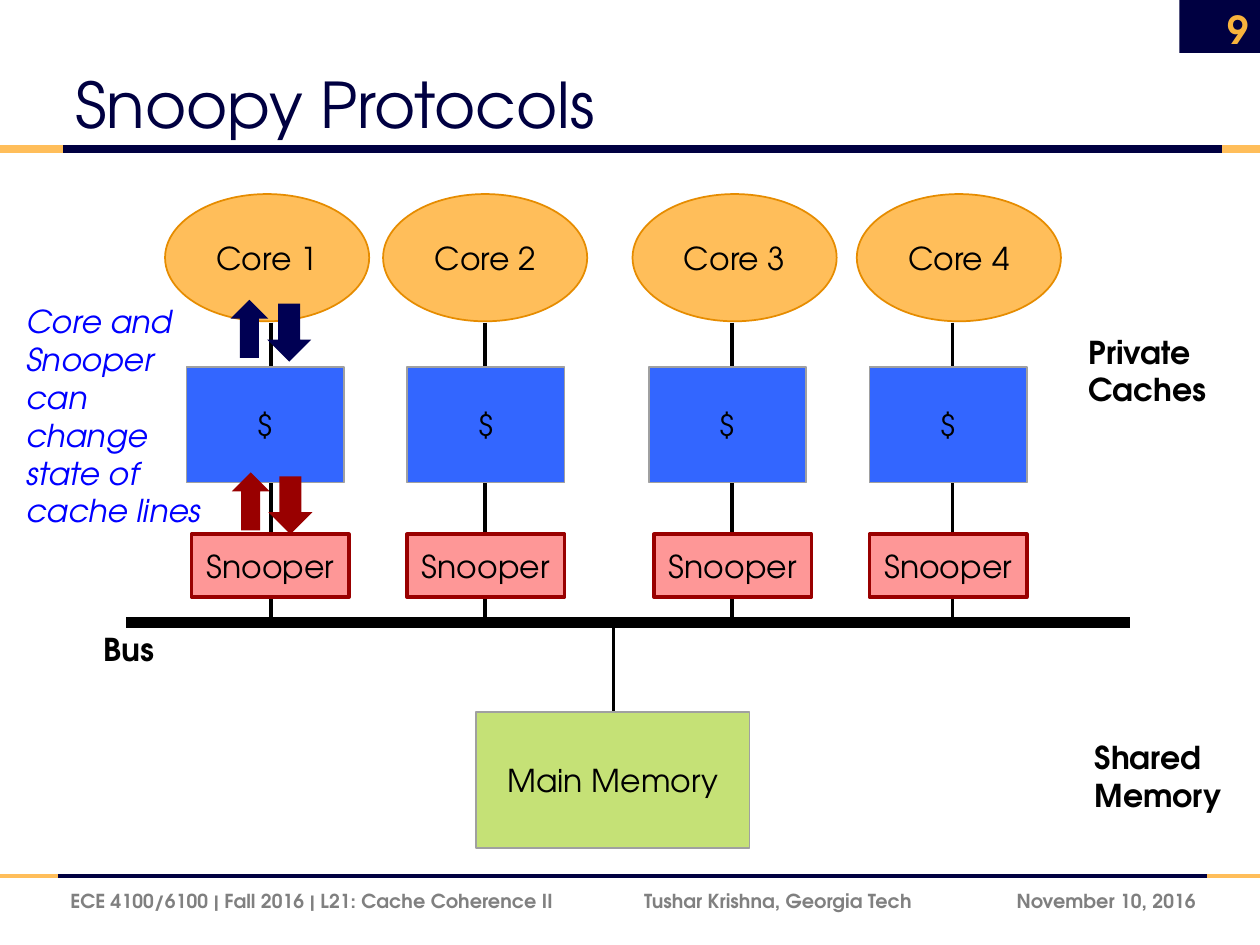
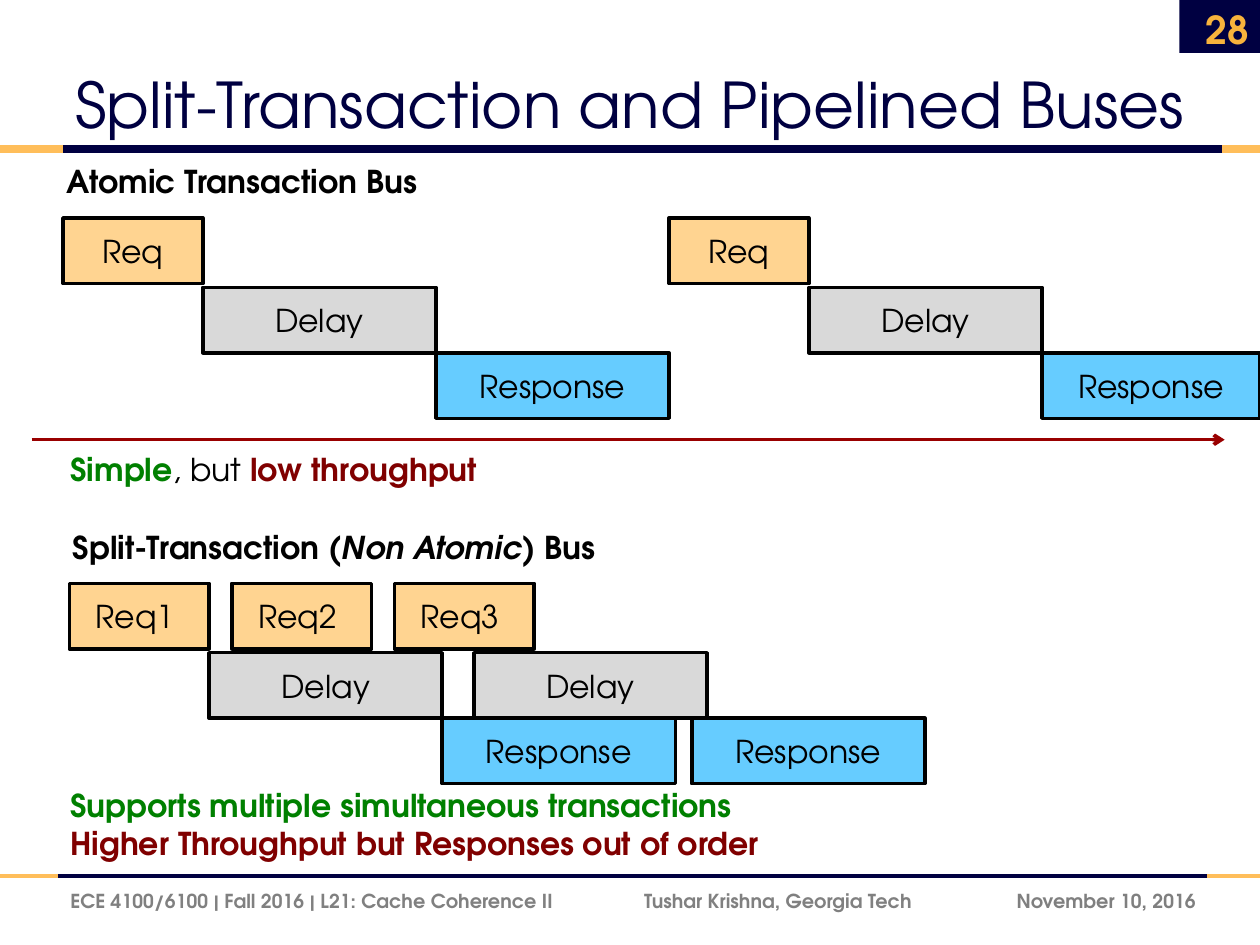
from dataclasses import dataclass
from typing import Any, Optional

import lxml.etree
import pptx
import pptx.dml.color
import pptx.enum.shapes
import pptx.enum.text
import pptx.oxml.ns
import pptx.util

SHAPE = pptx.enum.shapes.MSO_SHAPE
ALIGN = pptx.enum.text.PP_ALIGN
ANCHOR = pptx.enum.text.MSO_ANCHOR

FONT = "TeX Gyre Adventor"
COLORS = {
    "navy": "000041", "orange": "FFBE5A", "number": "F8B33C",
    "footer": "808080", "date": "7F7F7F", "black": "000000",
    "core edge": "E68C00", "cache": "3366FF", "edge": "A0A0A0",
    "memory": "C5E176", "snooper": "FE9797", "red": "990000",
    "core arrow": "000053", "note": "0000FF", "good": "008000",
    "bad": "800000", "request": "FFD491", "delay": "D9D9D9",
    "response": "66CCFF",
}

# The slide is a grid of 100 columns and 75 rows of square cells.
COLUMNS, ROWS = 100, 75
CELL = pptx.util.Inches(10) // COLUMNS


@dataclass
class Area:
    column: float
    row: float
    columns: float
    rows: float

    def lengths(self) -> list[int]:
        return [cells(n) for n in (self.column, self.row, self.columns, self.rows)]


@dataclass
class Span:
    text: str
    color: str = "black"
    bold: bool = False
    italic: bool = False


@dataclass
class Style:
    size: float = 18
    align: Any = ALIGN.LEFT
    anchor: Any = ANCHOR.TOP
    wrap: bool = True
    side_inset: float = 1


@dataclass
class Look:
    fill: str
    edge: Optional[str] = None
    weight: float = 1
    preset: Any = SHAPE.RECTANGLE


@dataclass
class Stage:
    """One step of a bus transaction: its width and its drop below the request."""
    columns: float
    drop: float
    look: Look


@dataclass
class Core:
    """Left edges of the parts of one core, and the column of its wire."""
    core: float
    wire: float
    cache: float
    snooper: float


CENTERED = Style(align=ALIGN.CENTER, anchor=ANCHOR.MIDDLE)
UNWRAPPED = Style(align=ALIGN.CENTER, anchor=ANCHOR.MIDDLE, wrap=False)
IN_ELLIPSE = Style(align=ALIGN.CENTER, anchor=ANCHOR.MIDDLE, side_inset=0)


def cells(count: float) -> int:
    return round(count * CELL)


def color(name: str) -> pptx.dml.color.RGBColor:
    return pptx.dml.color.RGBColor.from_string(COLORS[name])


def set_font(font: Any, span: Span, size: float) -> None:
    font.name = FONT
    font.size = pptx.util.Pt(size)
    font.bold = span.bold
    font.italic = span.italic
    font.color.rgb = color(span.color)


def write(box: Any, paragraphs: list[list[Span]], style: Style) -> None:
    frame = box.text_frame
    frame.word_wrap = style.wrap
    frame.vertical_anchor = style.anchor
    frame.margin_left = frame.margin_right = cells(style.side_inset)
    frame.margin_top = frame.margin_bottom = cells(0.5)
    for index, spans in enumerate(paragraphs):
        para = frame.add_paragraph() if index else frame.paragraphs[0]
        para.alignment = style.align
        if len(spans) == 1:
            set_font(para.font, spans[0], style.size)
        for span in spans:
            run = para.add_run()
            run.text = span.text
            if len(spans) > 1:
                set_font(run.font, span, style.size)


def add_text(page: Any, area: Area, *paragraphs: list[Span],
             style: Style = Style()) -> None:
    write(page.shapes.add_textbox(*area.lengths()), list(paragraphs), style)


def add_box(page: Any, area: Area, look: Look, label: str = "",
            style: Style = CENTERED) -> Any:
    box = page.shapes.add_shape(look.preset, *area.lengths())
    box.shadow.inherit = False
    box.fill.solid()
    box.fill.fore_color.rgb = color(look.fill)
    if look.edge:
        box.line.color.rgb = color(look.edge)
        box.line.width = pptx.util.Pt(look.weight)
    else:
        box.line.fill.background()
    if label:
        write(box, [[Span(label)]], style)
    return box


def add_line(page: Any, start: tuple[float, float], end: tuple[float, float],
             name: str, weight: float, arrow: bool = False) -> None:
    line = page.shapes.add_connector(
        pptx.enum.shapes.MSO_CONNECTOR.STRAIGHT,
        *[cells(n) for n in (*start, *end)])
    line.line.color.rgb = color(name)
    line.line.width = pptx.util.Pt(weight)
    if arrow:
        lxml.etree.SubElement(line.line._get_or_add_ln(),
                              pptx.oxml.ns.qn("a:tailEnd"), type="arrow")
    lxml.etree.SubElement(line._element.spPr, pptx.oxml.ns.qn("a:effectLst"))


def add_rule(page: Any, row: float, left: float, right: float, weight: float) -> None:
    """A navy rule across the slide with orange ends."""
    for start, end, name in ((left, right, "navy"), (0, left, "orange"),
                             (right, COLUMNS, "orange")):
        add_line(page, (start, row), (end, row), name, weight)


def add_page(deck: Any, title: str, number: int) -> Any:
    page = deck.slides.add_slide(deck.slide_layouts[6])
    # Number tab and rules
    add_box(page, Area(93.6, 0, 6.8, 4.2), Look("navy"))
    add_rule(page, 69.5, 4.6, 95.8, 2.25)
    add_rule(page, 11.8, 5, 97, 4.5)
    # Title, footer and page number
    add_text(page, Area(5, 1.7, 95, 10), [Span(title, "navy")],
             style=Style(size=36, anchor=ANCHOR.BOTTOM))
    footer = Style(size=11, anchor=ANCHOR.MIDDLE)
    add_text(page, Area(4.6, 69.5, 45, 4),
             [Span("ECE 4100/6100 | Fall 2016 | L21: Cache Coherence II", "footer", True)],
             style=footer)
    add_text(page, Area(50.15, 69.5, 26, 4),
             [Span("Tushar Krishna, Georgia Tech", "footer", True)], style=footer)
    add_text(page, Area(76.7, 69.5, 19.2, 4), [Span("November 10, 2016", "date", True)],
             style=Style(size=11, align=ALIGN.RIGHT, anchor=ANCHOR.MIDDLE))
    add_text(page, Area(93.4, 0.3, 6.7, 4), [Span(str(number), "number", True)],
             style=Style(size=22, align=ALIGN.RIGHT, anchor=ANCHOR.MIDDLE))
    return page


def add_arrow_pair(page: Any, column: float, row: float, name: str) -> None:
    look = Look(name, preset=SHAPE.UP_ARROW)
    add_box(page, Area(column, row, 3, 4.6), look)
    add_box(page, Area(column + 2.9, row + 0.3, 3.5, 4.6), look).rotation = 180


CORES = [Core(13.1, 21.5, 14.8, 15.2), Core(30.4, 38.5, 32.3, 32.3),
         Core(50.2, 58.1, 51.5, 51.9), Core(68, 75.6, 69, 69)]
BUS_ROW = 49.4


def build_snoopy(deck: Any) -> None:
    page = add_page(deck, "Snoopy Protocols", 9)
    # Cores with their caches and snoopers
    for number, place in enumerate(CORES, 1):
        add_line(page, (place.wire, 25.6), (place.wire, BUS_ROW), "black", 2)
        add_box(page, Area(place.cache, 29.1, 12.5, 9.2), Look("cache", "edge"),
                "$", UNWRAPPED)
        add_box(page, Area(place.core, 15.4, 16.2, 10.1),
                Look("orange", "core edge", preset=SHAPE.OVAL),
                f"Core {number}", IN_ELLIPSE)
        add_box(page, Area(place.snooper, 42.4, 12.5, 5), Look("snooper", "red", 2),
                "Snooper", UNWRAPPED)
    # Bus and memory
    add_line(page, (10, BUS_ROW), (89.7, BUS_ROW), "black", 6)
    add_line(page, (48.7, BUS_ROW), (48.7, 56.4), "black", 2)
    add_box(page, Area(37.8, 56.5, 21.7, 10.8), Look("memory", "edge"),
            "Main Memory", UNWRAPPED)
    # Labels
    for label, area in (("Bus", Area(7.2, 49.5, 7.6, 4)),
                        ("Private Caches", Area(85.4, 25.9, 13.3, 7.1)),
                        ("Shared Memory", Area(85.9, 58.1, 13.3, 7.1))):
        add_text(page, area, [Span(label, bold=True)])
    # Traffic of the first core
    add_arrow_pair(page, 18.3, 23.8, "core arrow")
    add_arrow_pair(page, 18.4, 37.5, "red")
    lines = ("Core and", "Snooper", "can", "change state of cache lines")
    add_text(page, Area(1.1, 23.5, 17.8, 19.2),
             *[[Span(text, "note", italic=True)] for text in lines])


REQUEST = Stage(11.1, 0, Look("request", "black", 2))
DELAY = Stage(18.5, 5.5, Look("delay", "black", 2))
RESPONSE = Stage(18.5, 10.7, Look("response", "black", 2))


def add_stage(page: Any, stage: Stage, label: str, column: float, row: float) -> None:
    columns = min(stage.columns, COLUMNS - column)
    add_box(page, Area(column, row + stage.drop, columns, 5.2), stage.look, label)


def build_buses(deck: Any) -> None:
    page = add_page(deck, "Split-Transaction and Pipelined Buses", 28)
    # Atomic bus: each transaction starts when the last one ends
    add_text(page, Area(4.3, 12.4, 36, 4), [Span("Atomic Transaction Bus", bold=True)])
    column = 5.0
    for _ in range(2):
        for stage, label in ((REQUEST, "Req"), (DELAY, "Delay"), (RESPONSE, "Response")):
            add_stage(page, stage, label, column, 17.3)
            column += stage.columns
    add_line(page, (2.5, 34.9), (97.2, 34.9), "red", 2, arrow=True)
    add_text(page, Area(4.6, 35.2, 40.9, 4),
             [Span("Simple", "good", True), Span(", but "),
              Span("low throughput", "bad", True)])
    # Split bus: requests overlap with delays and responses
    add_text(page, Area(4.8, 41.4, 46.5, 4),
             [Span("Split-Transaction ", bold=True),
              Span("(Non Atomic)", bold=True, italic=True), Span(" Bus", bold=True)])
    for index in range(3):
        add_stage(page, REQUEST, f"Req{index + 1} ", 5.5 + 12.9 * index, 46.3)
    for stage, label, starts in ((DELAY, "Delay", (16.6, 37.6)),
                                 (RESPONSE, "Response", (35.1, 54.9))):
        for start in starts:
            add_stage(page, stage, label, start, 46.3)
    add_text(page, Area(4.6, 61.9, 62.9, 7.1),
             [Span("Supports multiple simultaneous transactions", "good", True)],
             [Span("Higher Throughput but Responses out of order", "bad", True)])


def main() -> None:
    deck = pptx.Presentation()
    deck.slide_width = cells(COLUMNS)
    deck.slide_height = cells(ROWS)
    build_snoopy(deck)
    build_buses(deck)
    deck.save("out.pptx")


main()
